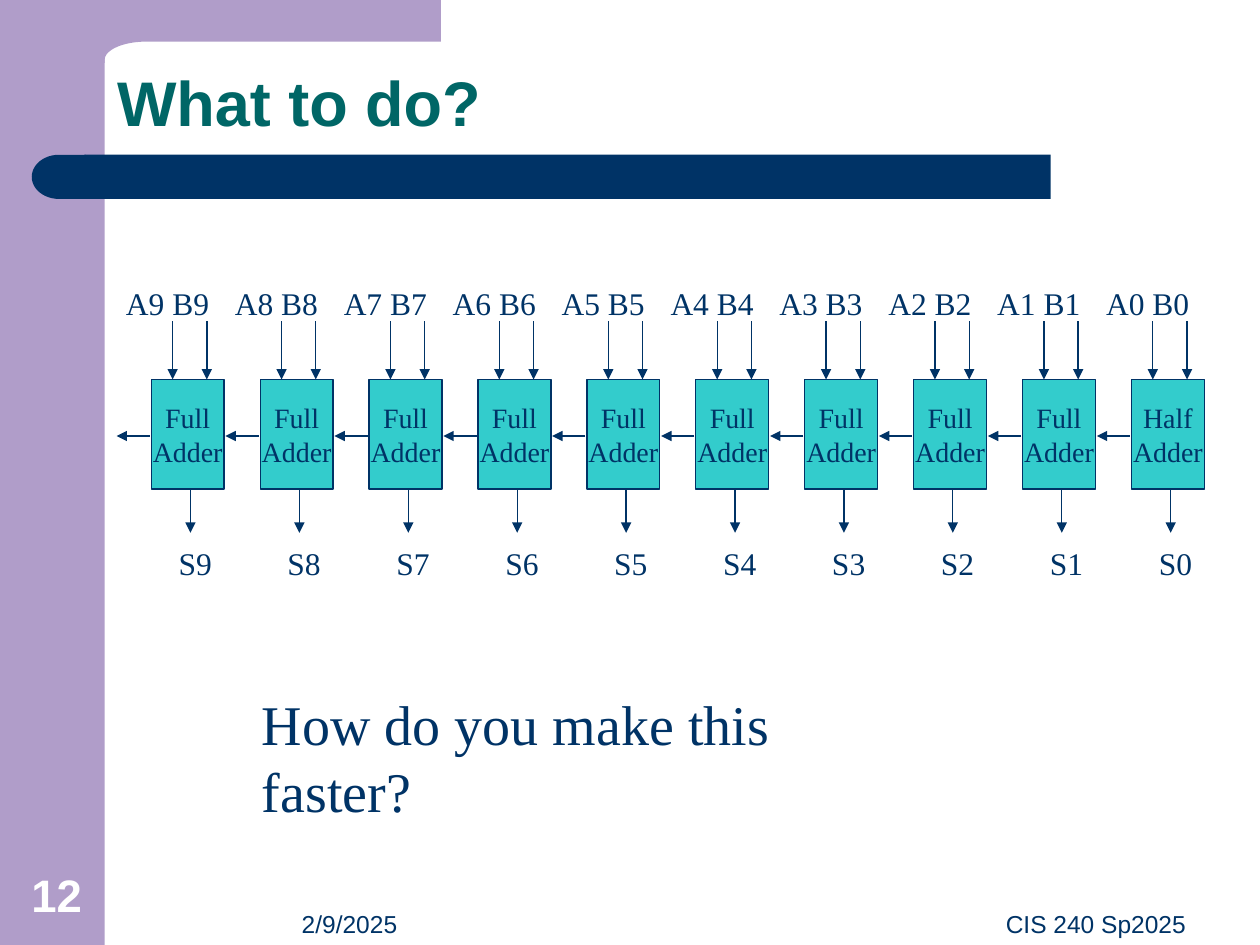
from dataclasses import dataclass
from math import cos, pi, sin

from lxml import etree
from pptx import Presentation, util as u
from pptx.dml.color import RGBColor
from pptx.enum import shapes, text
from pptx.oxml.ns import qn

NAVY, TEAL, LILAC, AQUA, WHITE = "003366", "006666", "B09DC9", "33CCCC", "FFFFFF"
SERIF, SANS = "Times New Roman", "Arial"
LEFT, RIGHT = text.PP_ALIGN.LEFT, text.PP_ALIGN.RIGHT
TOP, MID, LOW = (text.MSO_ANCHOR.TOP, text.MSO_ANCHOR.MIDDLE,
                 text.MSO_ANCHOR.BOTTOM)
Kind = shapes.MSO_SHAPE


@dataclass
class Box:
    x: float
    y: float
    w: float
    h: float

    def cm(self) -> list:
        return [u.Cm(v) for v in (self.x, self.y, self.w, self.h)]


@dataclass
class Font:
    size: float
    name: str = SERIF
    color: str = NAVY
    bold: bool = False


@dataclass
class Adder:
    bit: int
    kind: str
    x: float


def paint(fmt, color: str) -> None:
    """Give a fill a solid colour."""
    fmt.solid()
    fmt.fore_color.rgb = RGBColor.from_string(color)


def write(shape, words: str, font: Font, align=LEFT, anchor=TOP,
          wrap: bool = True) -> None:
    frame = shape.text_frame
    frame.text = words
    frame.word_wrap = wrap
    frame.vertical_anchor = anchor
    for para in frame.paragraphs:
        para.alignment = align
        for run in para.runs:
            run.font.size = u.Pt(font.size)
            run.font.name = font.name
            run.font.bold = font.bold
            paint(run.font.fill, font.color)


def label(slide, box: Box, words: str, font: Font, **style):
    shape = slide.shapes.add_textbox(*box.cm())
    write(shape, words, font, **style)
    return shape


def block(slide, kind, box: Box, fill: str):
    shape = slide.shapes.add_shape(kind, *box.cm())
    shape.shadow.inherit = False
    paint(shape.fill, fill)
    shape.line.fill.background()
    return shape


def arrow(slide, x1: float, y1: float, x2: float, y2: float) -> None:
    line = slide.shapes.add_connector(
        shapes.MSO_CONNECTOR.STRAIGHT, *[u.Cm(v) for v in (x1, y1, x2, y2)])
    line.line.width = u.Pt(0.75)
    paint(line.line.fill, NAVY)
    props = line._element.spPr
    etree.SubElement(props.find(qn("a:ln")), qn("a:tailEnd"), type="triangle")
    etree.SubElement(props, qn("a:effectLst"))


def frame_art(slide) -> None:
    """Side band, curved corner and title bar."""
    block(slide, Kind.RECTANGLE, Box(0, 0, 2.11, 19.05), LILAC)

    steps = 16
    turns = [pi / 2 * i / steps for i in range(steps + 1)]
    curve = [(2.95 - 0.84 * sin(t), 1.21 - 0.37 * cos(t)) for t in turns]
    edge = [(8.89, 0), (8.89, 0.84), *curve, (2.11, 1.27), (1.27, 1.27)]
    path = slide.shapes.build_freeform(u.Cm(1.27), 0)
    path.add_line_segments([(u.Cm(x), u.Cm(y)) for x, y in edge])
    corner = path.convert_to_shape()
    corner.shadow.inherit = False
    paint(corner.fill, LILAC)
    corner.line.fill.background()

    block(slide, Kind.RECTANGLE, Box(1.7, 3.12, 19.48, 0.89), NAVY)
    cap = block(slide, Kind.FLOWCHART_DELAY, Box(0.64, 3.12, 1.09, 0.89), NAVY)
    cap.rotation = 180


def draw_adder(slide, unit: Adder) -> None:
    x, bit = unit.x, unit.bit
    cell = block(slide, Kind.RECTANGLE, Box(x, 7.65, 1.47, 2.21), AQUA)
    cell.line.width = u.Pt(0.75)
    paint(cell.line.fill, NAVY)
    write(cell, f"{unit.kind}\nAdder", Font(16), text.PP_ALIGN.CENTER, MID, False)

    # Carry out, two inputs, sum
    arrow(slide, x - 0.03, 8.79, x - 0.7, 8.79)
    for dx in (1.12, 0.43):
        arrow(slide, x + dx, 6.48, x + dx, 7.65)
    arrow(slide, x + 0.79, 9.86, x + 0.79, 10.74)

    label(slide, Box(x + 0.3, 10.85, 1.19, 1.02), f"S{bit}", Font(18), wrap=False)
    label(slide, Box(x - 0.76, 5.61, 2.51, 1.02), f"A{bit} B{bit}", Font(18))


def main() -> None:
    deck = Presentation()
    deck.slide_width, deck.slide_height = u.Cm(25.4), u.Cm(19.05)
    slide = deck.slides.add_slide(deck.slide_layouts[6])
    frame_art(slide)

    # Title
    title = label(slide, Box(2.11, 0.84, 22.02, 2.11), "What to do?",
                  Font(36, SANS, TEAL, True), anchor=LOW)
    title.text_frame.paragraphs[0].line_spacing = 0.9

    # Adder chain, lowest bit at the right
    first, last, count = 22.81, 3.05, 10
    pitch = (first - last) / (count - 1)
    for bit in range(count):
        kind = "Full" if bit else "Half"
        draw_adder(slide, Adder(bit, kind, first - bit * pitch))

    # Question
    label(slide, Box(5.03, 13.77, 14.02, 1.6), "How do you make this faster?",
          Font(32), wrap=False)

    # Footer
    small = Font(14, SANS)
    label(slide, Box(2.34, 18.21, 5.92, 0.84), "2/9/2025", small, align=RIGHT)
    label(slide, Box(8.69, 18.21, 15.47, 0.84), "CIS 240 Sp2025", small, align=RIGHT)
    label(slide, Box(0, 17.35, 2.29, 1.35), "12",
          Font(26, SANS, WHITE, True), align=text.PP_ALIGN.CENTER, anchor=LOW)

    deck.save("out.pptx")


if __name__ == "__main__":
    main()
